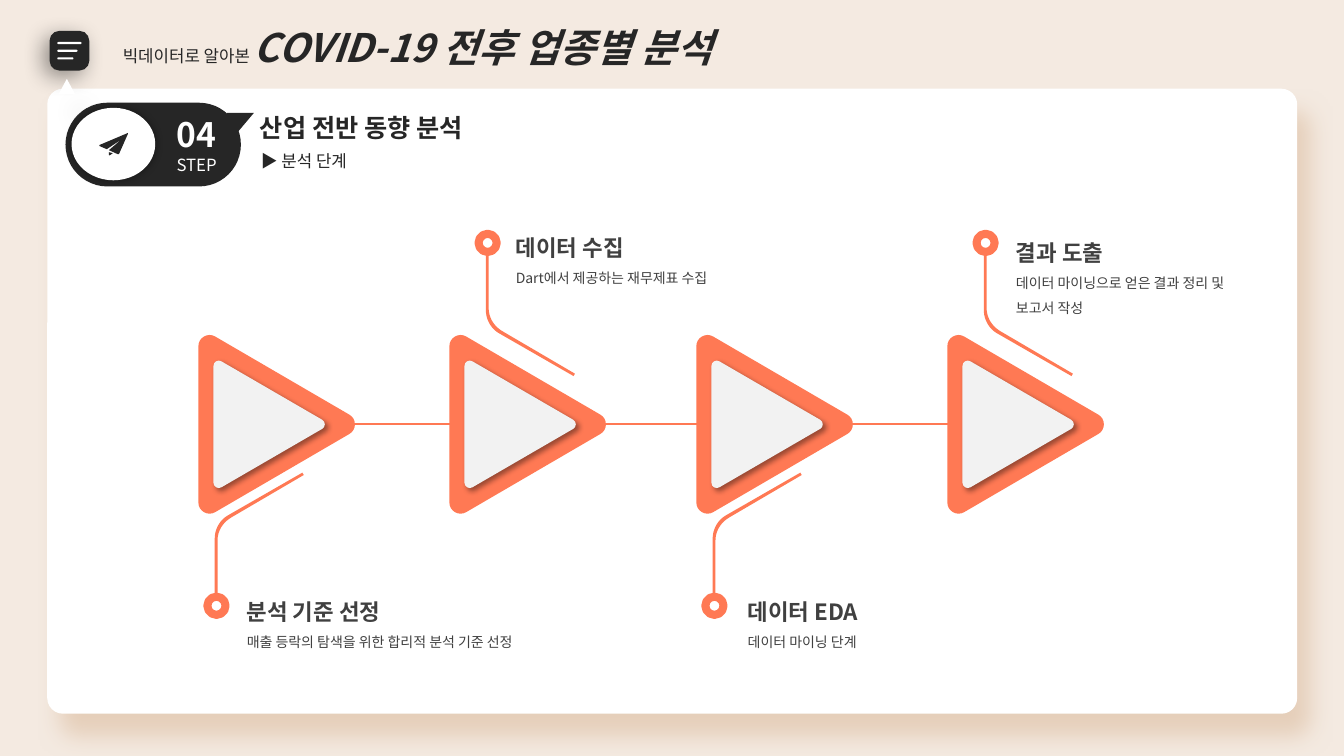
from lxml import etree
from pptx import Presentation
from pptx.dml.color import RGBColor
from pptx.enum.shapes import MSO_CONNECTOR, MSO_SHAPE
from pptx.enum.text import MSO_ANCHOR, MSO_AUTO_SIZE, PP_ALIGN
from pptx.oxml.ns import qn
from pptx.util import Pt

CREAM = RGBColor(0xF4, 0xEA, 0xE1)
WHITE = RGBColor(0xFF, 0xFF, 0xFF)
INK = RGBColor(0x26, 0x26, 0x26)
GREY = RGBColor(0x40, 0x40, 0x40)
PALE = RGBColor(0xF2, 0xF2, 0xF2)
ORANGE = RGBColor(0xFF, 0x79, 0x54)
TAN = RGBColor(0xE1, 0xC6, 0xAD)
BLACK = RGBColor(0, 0, 0)
FONT = "Noto Sans CJK KR"

MID_Y = 303.1  # height of the axis through the arrows
# Per step: arrow offset, hook offset, hook above the axis, text box, lines
STEPS = [
    (0, 0, False, (169.2, 414, 236, 52),
     ["분석 기준 선정", "매출 등락의 탐색을 위한 합리적 분석 기준 선정"]),
    (179.3, 193.7, True, (361.4, 154, 219, 55),
     ["데이터 수집", "Dart에서 제공하는 재무제표 수집"]),
    (355.7, 355.7, False, (527, 414, 220, 52),
     ["데이터 EDA", "데이터 마이닝 단계"]),
    (535, 549.4, True, (718.6, 157.7, 217.4, 73),
     ["결과 도출", "데이터 마이닝으로 얻은 결과 정리 및", "보고서 작성"]),
]


def add_shadow(sp, color, alpha, blur, dist, angle):
    """Outer shadow: alpha in percent, blur and distance in points, angle in degrees."""
    effects = sp._element.spPr.find(qn("a:effectLst"))
    shadow = etree.SubElement(
        effects, qn("a:outerShdw"), blurRad=str(Pt(blur)), dist=str(Pt(dist)),
        dir=str(angle * 60000), algn="ctr", rotWithShape="0")
    clr = etree.SubElement(shadow, qn("a:srgbClr"), val=str(color))
    etree.SubElement(clr, qn("a:alpha"), val=str(alpha * 1000))


def paint(sp, fill, line=None, width=0):
    sp.shadow.inherit = False
    sp.fill.solid()
    sp.fill.fore_color.rgb = fill
    if line is None:
        sp.line.fill.background()
    else:
        sp.line.color.rgb = line
        sp.line.width = Pt(width)
        etree.SubElement(sp.line._get_or_add_ln(), qn("a:round"))


def add_shape(s, kind, box, fill, line=None, width=0, adj=None, rot=0, shadow=None):
    sp = s.shapes.add_shape(kind, *map(Pt, box))
    paint(sp, fill, line, width)
    sp.rotation = rot
    if adj is not None:
        sp.adjustments[0] = adj
    if shadow:
        add_shadow(sp, *shadow)
    return sp


def add_outline(s, points, fill):
    pts = [(x * 100, y * 100) for x, y in points]
    builder = s.shapes.build_freeform(*pts[0], scale=Pt(1) / 100)
    builder.add_line_segments(pts[1:], close=True)
    paint(builder.convert_to_shape(), fill)


def add_run(p, text, size, color, bold=False, italic=False):
    r = p.add_run()
    r.text = text
    f = r.font
    f.name, f.size, f.bold, f.italic = FONT, Pt(size), bold, italic
    f.color.rgb = color
    etree.SubElement(r._r.get_or_add_rPr(), qn("a:ea"), typeface=FONT)


def write_lines(tf, lines, color, spacing=None):
    """Fill a text frame with paragraphs given as (text, size, bold)."""
    tf.word_wrap = True
    for i, (text, size, bold) in enumerate(lines):
        p = tf.add_paragraph() if i else tf.paragraphs[0]
        p.alignment = PP_ALIGN.LEFT
        p.line_spacing = spacing
        add_run(p, text, size, color, bold)


def add_text(s, box, lines, color):
    tf = s.shapes.add_textbox(*map(Pt, box)).text_frame
    tf.auto_size = MSO_AUTO_SIZE.SHAPE_TO_FIT_TEXT
    write_lines(tf, lines, color, 1.5)


def bezier(p0, p1, p2, p3, n=12):
    for i in range(n + 1):
        t = i / n
        weights = ((1 - t) ** 3, 3 * t * (1 - t) ** 2, 3 * t * t * (1 - t), t ** 3)
        yield tuple(sum(w * p[k] for w, p in zip(weights, (p0, p1, p2, p3)))
                    for k in (0, 1))


def add_hook(s, dx, above):
    """Bent stem from an arrow's edge to a ring, mirrored when above the axis."""
    points = [(216, 337.6), (217, 339.3)]
    points += bezier((165.6, 369.4), (159.5, 372.8), (155.4, 379), (155.4, 386))
    points += [(155.4, 429.8), (153.4, 429.8)]
    points += bezier((153.4, 384.6), (153.4, 378), (157, 371.5), (162.7, 368.2))
    ring_y = 432.7
    if above:
        points = [(x, 2 * MID_Y - y) for x, y in points]
        ring_y = 2 * MID_Y - ring_y
    add_outline(s, [(x + dx, y) for x, y in points], ORANGE)
    add_shape(s, MSO_SHAPE.OVAL, (148.1 + dx, ring_y - 6.5, 13, 13), WHITE, ORANGE, 5.75)


def add_arrow(s, dx):
    add_shape(s, MSO_SHAPE.ISOSCELES_TRIANGLE, (141.8 + dx, 255.2, 111.6, 95.8),
              ORANGE, ORANGE, 16, rot=90)
    add_shape(s, MSO_SHAPE.ISOSCELES_TRIANGLE, (150.5 + dx, 267.1, 83.5, 72),
              PALE, PALE, 7.5, rot=90, shadow=(BLACK, 40, 4, 3, 45))


def add_axis(s):
    line = s.shapes.add_connector(MSO_CONNECTOR.STRAIGHT, Pt(245.5), Pt(MID_Y),
                                  Pt(780.5), Pt(MID_Y))
    line.line.color.rgb = ORANGE
    line.line.width = Pt(1.5)
    etree.SubElement(line.line._get_or_add_ln(), qn("a:tailEnd"), type="stealth")
    etree.SubElement(line._element.spPr, qn("a:effectLst"))


def add_frame(s):
    """White card, menu button and page title."""
    rounded = MSO_SHAPE.ROUNDED_RECTANGLE
    add_shape(s, rounded, (33.8, 63.4, 892.8, 446.4), WHITE, adj=0.025,
              shadow=(TAN, 75, 16, 19, 60))
    add_shape(s, rounded, (35.5, 22.1, 28.3, 28.3), INK, adj=0.242,
              shadow=(BLACK, 40, 16, 6, 135))
    for i, width in enumerate((17.3, 14.4, 11.5)):
        add_shape(s, rounded, (41, 30 + 5.5 * i, width, 1.5), WHITE, adj=0.5)
    add_shape(s, MSO_SHAPE.ISOSCELES_TRIANGLE, (42, 56.4, 11.5, 10.6), WHITE,
              shadow=(BLACK, 11, 16, 19, 60))
    tf = s.shapes.add_textbox(Pt(74.2), Pt(13), Pt(565.2), Pt(41)).text_frame
    tf.word_wrap = True
    tf.margin_left = Pt(13.5)
    p = tf.paragraphs[0]
    add_run(p, "빅데이터로 알아본 ", 12, INK)
    add_run(p, "COVID-19 전후 업종별 분석", 28, INK, True, True)


def add_step_badge(s):
    pill = add_shape(s, MSO_SHAPE.ROUNDED_RECTANGLE, (46.8, 73.4, 125.3, 59.8), INK, adj=0.5)
    tf = pill.text_frame
    tf.vertical_anchor = MSO_ANCHOR.MIDDLE
    tf.margin_left, tf.margin_right = Pt(70.6), 0
    write_lines(tf, [("04", 24, True), ("STEP", 12, False)], WHITE)
    add_shape(s, MSO_SHAPE.OVAL, (51.1, 77, 59.8, 51.8), WHITE,
              shadow=(BLACK, 40, 6, 0, 0))
    plane_tail = [(77.8, 108.7), (80.6, 109.4), (78.3, 111), (77.8, 110.8)]
    plane_body = [(91.4, 95), (91.4, 95.6), (85, 110.1), (84.2, 110.2), (77.8, 107.3),
                  (87.1, 99.4), (76.3, 106.6), (70.9, 104.3), (70.9, 103.7)]
    add_outline(s, plane_tail, INK)
    add_outline(s, plane_body, INK)
    flag = add_shape(s, MSO_SHAPE.RIGHT_TRIANGLE, (162, 80.6, 19.4, 23), INK, rot=180)
    flag._element.spPr.xfrm.set("flipH", "1")
    add_text(s, (179.3, 97.2, 84.2, 26), [("▶ 분석 단계", 12, False)], INK)
    add_text(s, (178.6, 66.2, 205.2, 36), [("산업 전반 동향 분석", 18, True)], INK)


def main():
    prs = Presentation()
    prs.slide_width, prs.slide_height = Pt(960), Pt(540)
    s = prs.slides.add_slide(prs.slide_layouts[6])
    s.background.fill.solid()
    s.background.fill.fore_color.rgb = CREAM
    add_frame(s)
    add_axis(s)
    for arrow_dx, hook_dx, above, box, (heading, *details) in STEPS:
        add_arrow(s, arrow_dx)
        add_hook(s, hook_dx, above)
        add_text(s, box, [(heading, 16, True)] + [(d, 10, False) for d in details], GREY)
    add_step_badge(s)
    prs.save("out.pptx")


if __name__ == "__main__":
    main()
